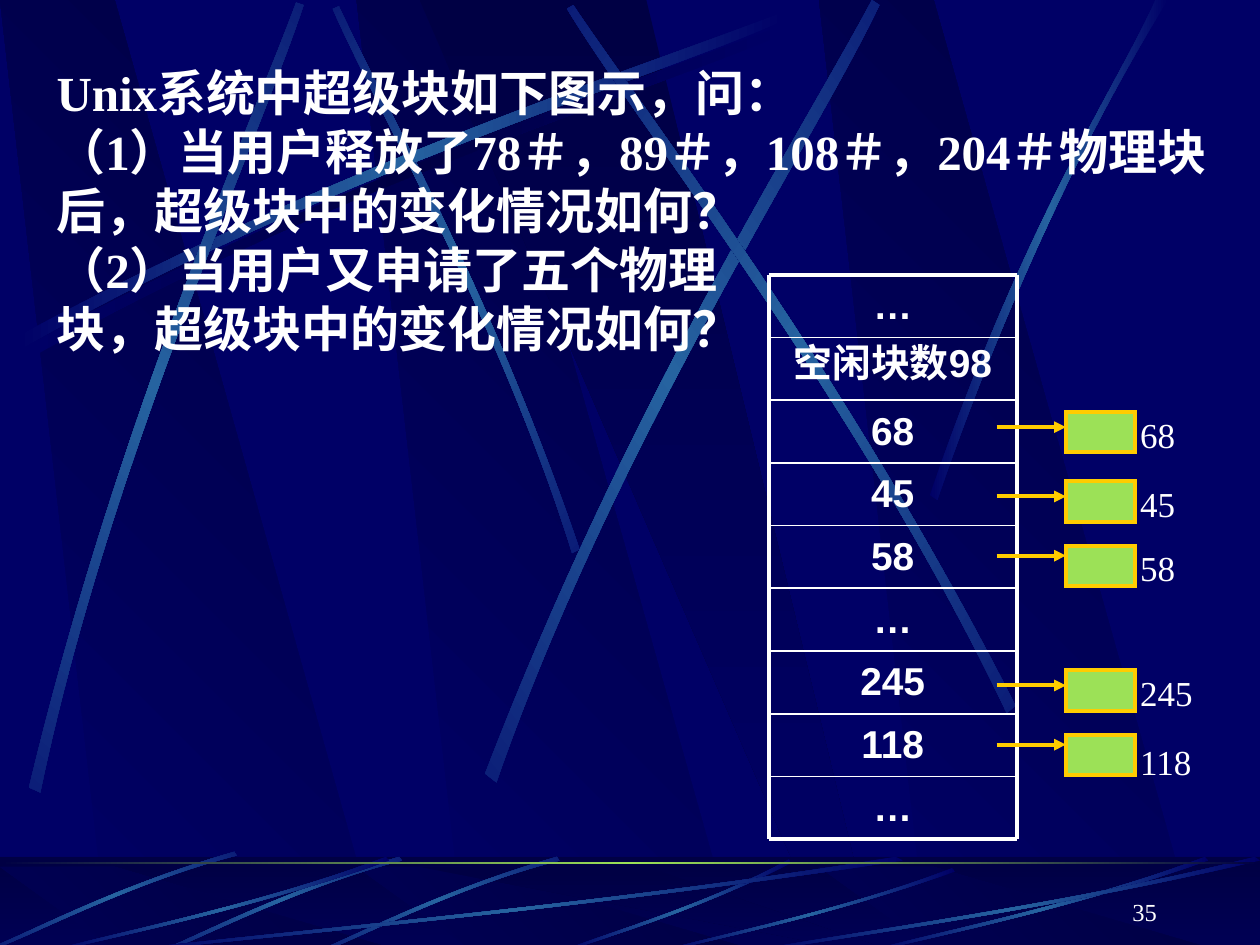
from copy import deepcopy
from math import cos, radians, sin

from lxml import etree
from pptx import Presentation
from pptx.dml.color import RGBColor
from pptx.enum.shapes import MSO_CONNECTOR, MSO_SHAPE
from pptx.enum.text import MSO_ANCHOR, MSO_AUTO_SIZE, PP_ALIGN
from pptx.oxml.ns import qn
from pptx.util import Inches, Pt

LINE, RECT = MSO_CONNECTOR.STRAIGHT, MSO_SHAPE.RECTANGLE
BOTTOM, FIT = MSO_ANCHOR.BOTTOM, MSO_AUTO_SIZE.SHAPE_TO_FIT_TEXT
LEFT, CENTER, RIGHT = PP_ALIGN.LEFT, PP_ALIGN.CENTER, PP_ALIGN.RIGHT
NAVY = RGBColor(0x00, 0x00, 0x66)
DARK = RGBColor(0x00, 0x00, 0x44)
STEEL = RGBColor(0x26, 0x63, 0xA0)
GREEN = RGBColor(0x9C, 0xE1, 0x57)
GOLD = RGBColor(0xFF, 0xCC, 0x00)
WHITE = RGBColor(0xFF, 0xFF, 0xFF)
SERIF, SANS = "Times New Roman", "Arial"

# Each strand: rotation, middle colour, and its outline on the slide as
# start, two controls, end, then the returning start, two controls, end.
UPPER_STRANDS = [
    (0, DARK, [(0.2, 2.75), (2.84, 1.34), (5.24, 0.59), (6.26, 0.18),
               (6.29, 0.24), (5.28, 0.69), (2.54, 1.51), (0.23, 2.85)]),
    (45, STEEL, [(4.6, 4.36), (3.91, 2.34), (3.02, 0.77), (2.69, 0.05),
                 (2.64, 0.07), (2.95, 0.79), (3.98, 2.58), (4.54, 4.39)]),
    (0, STEEL, [(0.14, 2.67), (2.78, 1.25), (5.18, 0.51), (6.2, 0.1),
                (6.23, 0.16), (5.22, 0.61), (2.48, 1.43), (0.17, 2.77)]),
    (311.7, STEEL, [(0.23, 6.25), (0.93, 3.34), (1.97, 1.05), (2.35, 0.02),
                    (2.41, 0.04), (2.07, 1.08), (0.86, 3.68), (0.32, 6.29)]),
    (321.6, STEEL, [(3.85, 6.14), (4.98, 3.2), (6.38, 1.02), (6.92, 0),
                    (6.98, 0.04), (6.49, 1.08), (4.86, 3.55), (3.94, 6.21)]),
    (34.8, STEEL, [(8.06, 5.6), (6.7, 2.93), (5.16, 0.95), (4.55, 0.04),
                   (4.5, 0.07), (5.07, 1.01), (6.85, 3.25), (7.99, 5.66)]),
    (0, STEEL, [(7.38, 3.93), (8.14, 1.73), (8.88, 0.66), (9.17, 0),
                (9.27, 0), (8.36, 1.45), (7.69, 3.22), (7.44, 3.97)]),
]
SHORT_STRAND = [(1.86, 0.04), (0.99, 0.29), (0.31, 0.64), (0, 0.77),
                (0.01, 0.79), (0.32, 0.67), (1.09, 0.27), (1.88, 0.07)]
# A long strand as shares of its width and inches of its height
LONG_STRAND = [(1, 0.03), (0.57, 0.43), (0.17, 0.64), (0.01, 0.75),
               (0, 0.74), (0.17, 0.61), (0.62, 0.38), (0.99, 0)]


def gradient(sp, colors, angle=0):
    """Fill with evenly spaced colours; angle runs counter-clockwise."""
    sp.shadow.inherit = False
    sp.line.fill.background()
    sp.fill.gradient()
    sp.fill.gradient_angle = angle
    stop_list = sp._element.spPr.find(qn("a:gradFill")).find(qn("a:gsLst"))
    while len(stop_list) < len(colors):
        stop_list.append(deepcopy(stop_list[0]))
    for i, (stop, color) in enumerate(zip(sp.fill.gradient_stops, colors)):
        stop.color.rgb = color
        stop.position = i / (len(colors) - 1)


def add_box(slide, x, y, w, h):
    sp = slide.shapes.add_shape(RECT, Inches(x), Inches(y), Inches(w), Inches(h))
    sp.shadow.inherit = False
    return sp


def add_outline(slide, points):
    points = [(Inches(x), Inches(y)) for x, y in points]
    builder = slide.shapes.build_freeform(*points[0])
    builder.add_line_segments(points[1:], close=True)
    return builder.convert_to_shape()


def turn(x, y, degrees):
    """Turn a point clockwise about the slide's corner."""
    c, s = cos(radians(degrees)), sin(radians(degrees))
    return x * c - y * s, x * s + y * c


def add_strand(slide, points, rotation=0, middle=STEEL):
    sp = add_outline(slide, [turn(x, y, -rotation) for x, y in points])
    segments = list(sp._element.iter(qn("a:lnTo")))
    for group in (segments[:3], segments[4:7]):
        bend = etree.Element(qn("a:cubicBezTo"))
        group[0].addprevious(bend)
        for segment in group:
            bend.append(segment[0])
            segment.getparent().remove(segment)
    x, y = turn(sp.left + sp.width / 2, sp.top + sp.height / 2, rotation)
    sp.left, sp.top = int(x - sp.width / 2), int(y - sp.height / 2)
    sp.rotation = rotation
    gradient(sp, [NAVY, middle, NAVY])


def add_beams(slide, top, height):
    for x in (2.83, 0, 6.5):
        sp = add_outline(slide, [(x + 0.86, top + height), (x + 3.02, top + height),
                                 (x + 0.91, top), (x, top)])
        gradient(sp, [NAVY, DARK], 45)
    sp = add_outline(slide, [(3.33, top), (6.58, top + height),
                             (6.94, top + height), (5.13, top)])
    gradient(sp, [DARK, NAVY], 270)


def add_backdrop(slide):
    slide.background.fill.solid()
    slide.background.fill.fore_color.rgb = NAVY
    add_beams(slide, 0, 7.5)
    for rotation, middle, points in UPPER_STRANDS:
        add_strand(slide, points, rotation, middle)


def add_footer_band(slide, top, height):
    gradient(add_box(slide, 0, top, 10, height), [DARK, NAVY], 270)
    add_beams(slide, top + 0.08, height - 0.08)
    veil = add_box(slide, 0, top, 10, height)
    veil.line.fill.background()
    veil.fill.solid()
    veil.fill.fore_color.rgb = DARK
    color = veil._element.spPr.find(qn("a:solidFill"))[0]
    etree.SubElement(color, qn("a:alpha"), val="50000")
    strands = [(4.48, 1.8, 0.02), (1, 6.17, 0), (0.42, 2.67, 0),
               (5.27, 2.31, 0.09), (6.92, 2.67, 0), (6, 4, 0)]
    for i, (x, width, drop) in enumerate(strands):
        scale = (0.75 - drop) / 0.75
        add_strand(slide, [(x + width * dx, top + drop + scale * dy)
                           for dx, dy in LONG_STRAND])
        if i == 0:
            for left, lift in ((2.56, 0.04), (1.31, 0.04), (0, 0.08)):
                add_strand(slide, [(left + dx, top - lift + dy)
                                   for dx, dy in SHORT_STRAND], 314.9)
    gradient(add_box(slide, 0, top + 0.04, 10, 0.02), [DARK, GREEN, DARK])


def add_run(p, text, size, font=SERIF, bold=False):
    r = p.add_run()
    r.text = text
    r.font.size, r.font.name, r.font.bold = Pt(size), font, bold
    r.font.color.rgb = WHITE


def add_text(slide, x, y, w, h, lines, size, font=SERIF, bold=False, align=LEFT, wrap=True):
    tf = slide.shapes.add_textbox(Inches(x), Inches(y), Inches(w), Inches(h)).text_frame
    tf.word_wrap = wrap
    for i, line in enumerate(lines):
        p = tf.add_paragraph() if i else tf.paragraphs[0]
        p.alignment = align
        add_run(p, line, size, font, bold)
    return tf


def add_line(slide, x1, y1, x2, y2, color, width):
    line = slide.shapes.add_connector(LINE, Inches(x1), Inches(y1), Inches(x2), Inches(y2))
    line.line.color.rgb, line.line.width = color, Pt(width)
    etree.SubElement(line._element.spPr, qn("a:effectLst"))
    return line


def add_super_block(slide, x, y, w, h):
    rows = ["…", "空闲块数", "68", "45", "58", "…", "245", "118", "…"]
    step = h / len(rows)
    for i, text in enumerate(rows):
        heading = i == 1
        tf = add_text(slide, x, y + i * step, w, step, [text], 22.2,
                      SERIF if heading else SANS, True, CENTER)
        if heading:
            tf.paragraphs[0].line_spacing = 0.9
            add_run(tf.paragraphs[0], "98", 22.2, SANS, True)
    for i in range(len(rows) + 1):
        width = 2.25 if i in (0, len(rows)) else 1
        add_line(slide, x, y + i * step, x + w, y + i * step, WHITE, width)
    for side in (x, x + w):
        add_line(slide, side, y, side, y + h, WHITE, 2.25)


def add_free_block(slide, number, x, arrow_y, box_y, label_y):
    arrow = add_line(slide, x - 0.55, arrow_y, x, arrow_y, GOLD, 2.25)
    etree.SubElement(arrow._element.spPr.find(qn("a:ln")), qn("a:tailEnd"), type="triangle")
    sp = add_box(slide, x, box_y, 0.55, 0.32)
    sp.fill.solid()
    sp.fill.fore_color.rgb = GREEN
    sp.line.color.rgb, sp.line.width = GOLD, Pt(2.25)
    etree.SubElement(sp._element.spPr.find(qn("a:ln")), qn("a:miter"), lim="800000")
    width = 0.25 + 0.13 * len(number)
    add_text(slide, x + 0.49, label_y, width, 0.44, [number], 20, wrap=False).auto_size = FIT


def main():
    prs = Presentation()
    prs.slide_width, prs.slide_height = Inches(10), Inches(7.5)
    slide = prs.slides.add_slide(prs.slide_layouts[6])
    add_backdrop(slide)
    add_footer_band(slide, 6.8, 0.7)
    add_super_block(slide, 6.1, 2.18, 1.97, 4.48)
    for number, arrow_y, box_y, label_y in (
            ("68", 3.39, 3.27, 3.23), ("45", 3.94, 3.82, 3.78), ("58", 4.41, 4.33, 4.29),
            ("245", 5.44, 5.32, 5.28), ("118", 5.91, 5.83, 5.83)):
        add_free_block(slide, number, 8.46, arrow_y, box_y, label_y)
    question = ["Unix系统中超级块如下图示，问：",
                "（1）当用户释放了78＃，89＃，108＃，204＃物理块后，超级块中的变化情况如何？",
                "（2）当用户又申请了五个物理",
                "块，超级块中的变化情况如何？"]
    add_text(slide, 0.35, 0.45, 9.39, 2.44, question, 28, bold=True).auto_size = FIT
    add_text(slide, 7.2, 6.9, 2.08, 0.5, ["35"], 14, align=RIGHT).vertical_anchor = BOTTOM
    prs.save("out.pptx")


if __name__ == "__main__":
    main()
